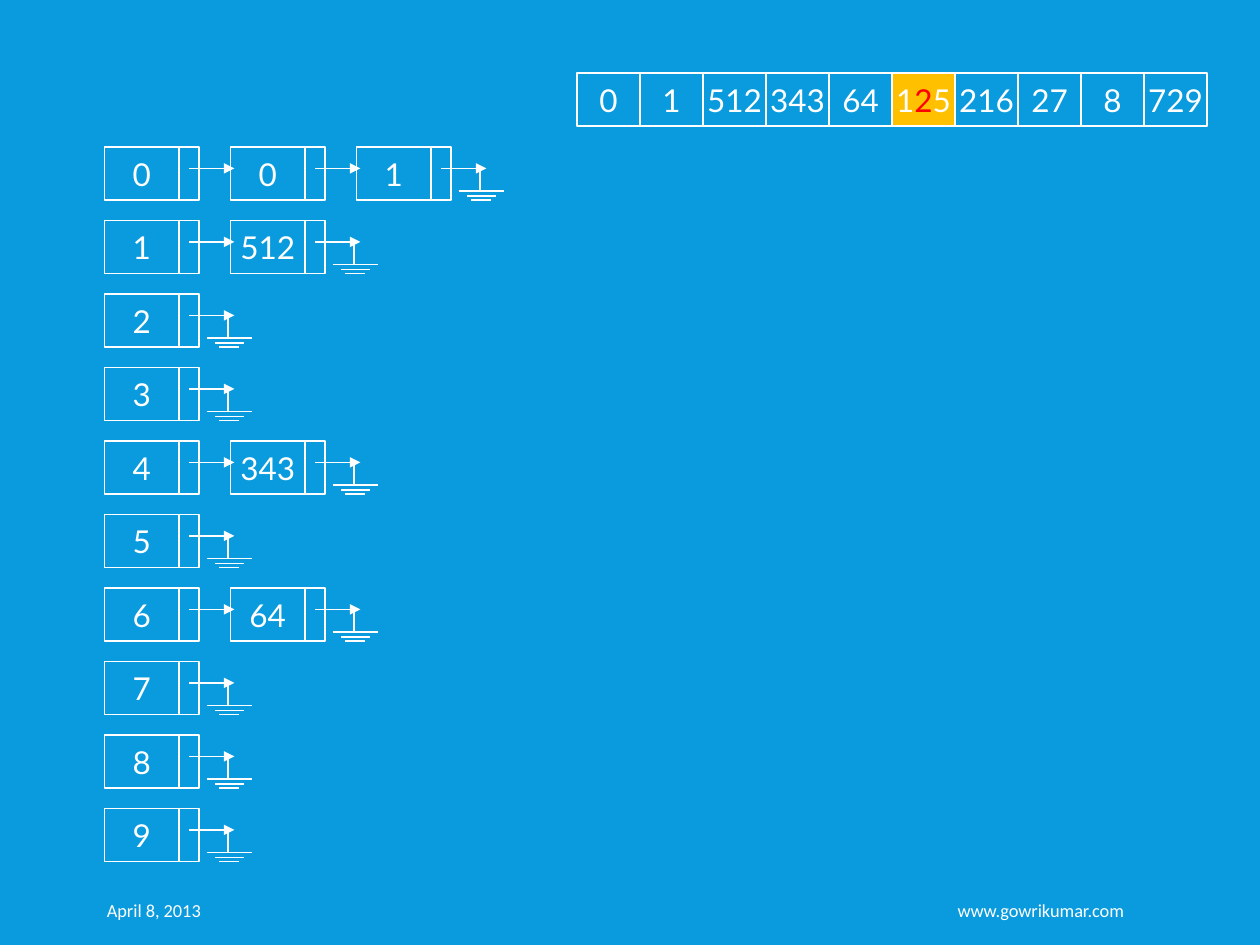
from dataclasses import dataclass
from typing import Any

import pptx
import pptx.dml.color
import pptx.enum.dml
import pptx.enum.shapes
import pptx.enum.text
import pptx.oxml.ns
import pptx.util
from lxml import etree

Inches = pptx.util.Inches
Pt = pptx.util.Pt
Align = pptx.enum.text.PP_ALIGN

WHITE = "FFFFFF"
RED = "FF0000"
AMBER = "FFC000"
BLUE = "099BDD"
HIGH = 0.42
STEP = 7 / 12


@dataclass
class Node:
    text: str
    left: float
    top: float
    last: bool


@dataclass
class Stroke:
    x1: float
    y1: float
    x2: float
    y2: float


LINK = Stroke(0.67, 0.17, 1.03, 0.17)
GROUND = [
    Stroke(0.81, 0.35, 1.17, 0.35),
    Stroke(0.91, 0.42, 1.07, 0.42),
    Stroke(0.88, 0.39, 1.11, 0.39),
    Stroke(0.98, 0.35, 0.98, 0.17),
]


def paint(form: Any, shade: str) -> None:
    """Set a solid colour on a fill."""
    form.solid()
    form.fore_color.rgb = pptx.dml.color.RGBColor.from_string(shade)


def write(shape: Any, runs: list[tuple[str, str]], *, size: float = 18,
          font: str = "Lato", align: Any = Align.CENTER, wrap: bool = False,
          right: float = 0.1) -> None:
    """Fill a shape with one paragraph of coloured runs."""
    frame = shape.text_frame
    frame.word_wrap = wrap
    frame.vertical_anchor = pptx.enum.text.MSO_ANCHOR.MIDDLE
    frame.margin_right = Inches(right)
    para = frame.paragraphs[0]
    para.alignment = align
    for text, shade in runs:
        run = para.add_run()
        run.text = text
        run.font.size = Pt(size)
        run.font.name = font
        paint(run.font.fill, shade)


def add_box(shapes: Any, left: float, top: float, width: float,
            fill: str = "") -> Any:
    box = shapes.add_shape(pptx.enum.shapes.MSO_SHAPE.RECTANGLE, Inches(left),
                           Inches(top), Inches(width), Inches(HIGH))
    box.shadow.inherit = False
    if fill:
        paint(box.fill, fill)
    else:
        box.fill.background()
    paint(box.line.fill, WHITE)
    box.line.width = Pt(0.75)
    return box


def add_line(shapes: Any, node: Node, part: Stroke, arrow: bool = False) -> None:
    """Draw a stroke placed relative to its node."""
    line = shapes.add_connector(
        pptx.enum.shapes.MSO_CONNECTOR.STRAIGHT,
        Inches(node.left + part.x1), Inches(node.top + part.y1),
        Inches(node.left + part.x2), Inches(node.top + part.y2))
    paint(line.line.fill, WHITE)
    line.line.width = Pt(0.75)
    qn = pptx.oxml.ns.qn
    props = line._element.spPr
    if arrow:
        etree.SubElement(props.find(qn("a:ln")), qn("a:tailEnd"), type="triangle")
    etree.SubElement(props, qn("a:effectLst"))


def add_node(slide: Any, node: Node) -> None:
    """Group a value, its pointer cell, its arrow and any ground sign."""
    shapes = slide.shapes.add_group_shape().shapes
    write(add_box(shapes, node.left, node.top, 0.59), [(node.text, WHITE)])
    add_box(shapes, node.left + 0.59, node.top, 0.16)
    add_line(shapes, node, LINK, arrow=True)
    if node.last:
        for part in GROUND:
            add_line(shapes, node, part)


def add_note(slide: Any, text: str, left: float, width: float,
             **style: Any) -> None:
    box = slide.shapes.add_textbox(Inches(left), Inches(7.02), Inches(width),
                                   Inches(0.4))
    write(box, [(text, WHITE)], size=10.5, font="Calibri", wrap=True, **style)


def main() -> None:
    deck = pptx.Presentation()
    deck.slide_width = Inches(10)
    deck.slide_height = Inches(7.5)
    slide = deck.slides.add_slide(deck.slide_layouts[6])
    paint(slide.background.fill, BLUE)

    add_note(slide, "April 8, 2013", 0.75, 2.84, align=Align.LEFT, right=0.05)
    add_note(slide, "www.gowrikumar.com", 4.58, 4.44, align=Align.RIGHT)

    values = ["0", "1", "512", "343", "64", "125", "216", "27", "8", "729"]
    active = "125"
    for i, value in enumerate(values):
        now = value == active
        cell = add_box(slide.shapes, 4.58 + i * 0.5, 0.58, 0.5,
                       AMBER if now else "")
        runs = [("1", WHITE), ("2", RED), ("5", WHITE)] if now else [(value, WHITE)]
        write(cell, runs)

    chains = {0: ["0", "1"], 1: ["512"], 4: ["343"], 6: ["64"]}
    for digit in range(10):
        chain = [str(digit), *chains.get(digit, [])]
        for i, text in enumerate(chain):
            add_node(slide, Node(text, 0.83 + i, 2 * STEP + digit * STEP,
                                 i == len(chain) - 1))

    deck.save("out.pptx")


if __name__ == "__main__":
    main()
